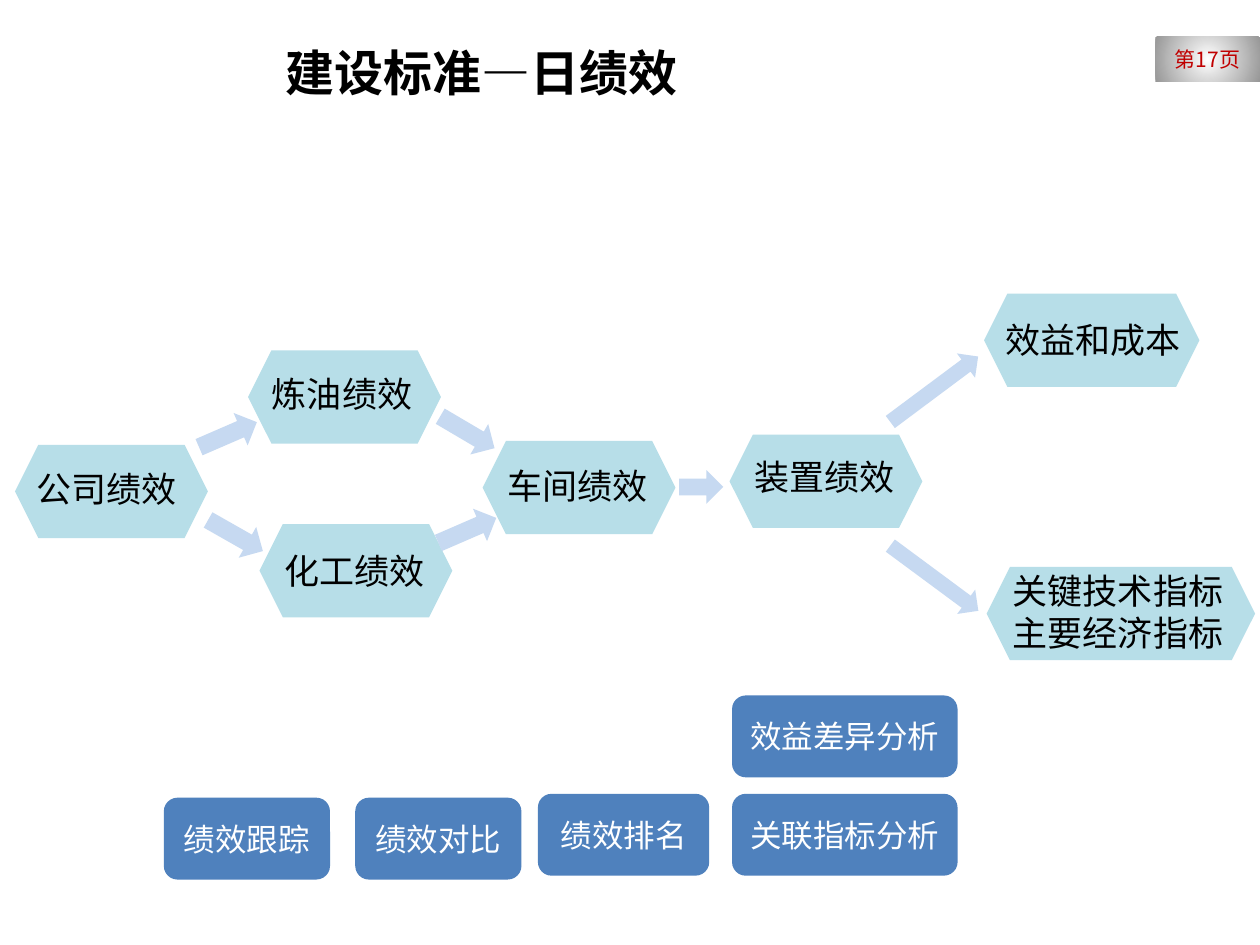
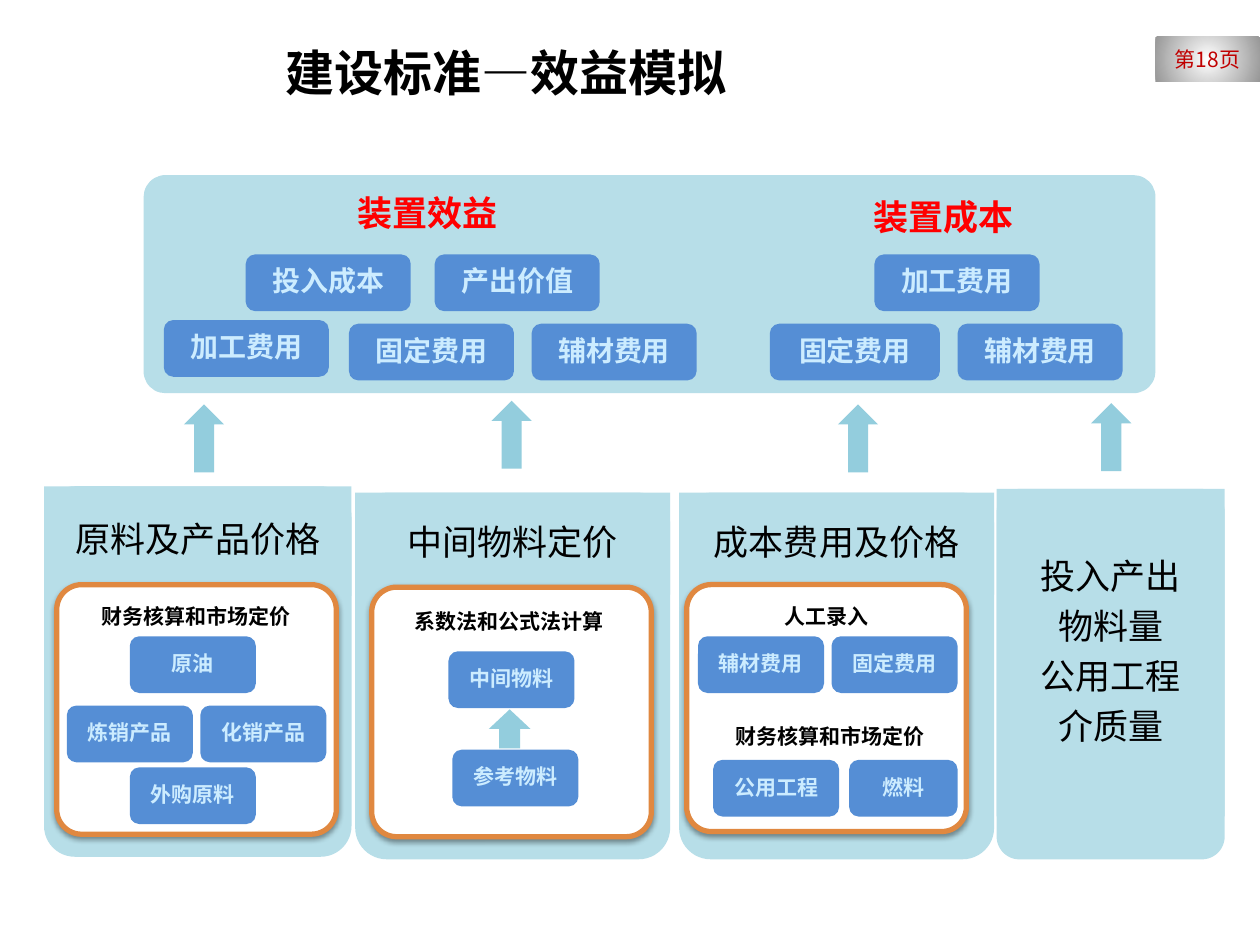
from dataclasses import dataclass

from lxml.etree import SubElement
from pptx import Presentation
from pptx.dml.color import RGBColor
from pptx.enum.shapes import MSO_SHAPE as Preset
from pptx.enum.text import MSO_ANCHOR as Anchor, MSO_AUTO_SIZE as AutoSize, PP_ALIGN as Align
from pptx.oxml.ns import qn
from pptx.util import Pt


@dataclass(frozen=True)
class Theme:
    black: str = "000000"
    white: str = "FFFFFF"
    badge_edge: str = "979797"
    badge_text: str = "C00000"
    pale_teal: str = "B7DEE8"
    teal: str = "93CDDD"
    pale_blue: str = "C6D9F1"
    blue: str = "4F81BD"
    chip_blue: str = "558ED5"
    chip_text: str = "CCECFF"
    orange: str = "E08840"
    red: str = "FF0000"
    body_font: str = "Calibri"
    heading_font: str = "Noto Sans CJK SC"
    title_size: int = 28
    node_size: int = 20
    button_size: int = 18
    chip_size: int = 16
    small_size: int = 12


THEME = Theme()


def write(frame, text, *, size, color, font=THEME.body_font, bold=False, align=Align.LEFT,
          anchor=Anchor.TOP, insets=(7.2, 3.6), wrap=True, grow=False, spaced=False):
    """Fill a text frame, one paragraph per line; spaced sets tight lines with a gap after."""
    frame.word_wrap = wrap
    frame.auto_size = AutoSize.SHAPE_TO_FIT_TEXT if grow else AutoSize.NONE
    frame.vertical_anchor = anchor
    frame.margin_left = frame.margin_right = Pt(insets[0])
    frame.margin_top = frame.margin_bottom = Pt(insets[1])
    for index, line in enumerate(text.split("\n")):
        paragraph = frame.add_paragraph() if index else frame.paragraphs[0]
        paragraph.alignment = align
        if spaced:
            paragraph.line_spacing = 0.9
            paragraph.space_after = Pt(0.35 * size)
        run = paragraph.add_run()
        run.text = line
        run.font.size = Pt(size)
        run.font.bold = bold
        run.font.name = font
        run.font.color.rgb = RGBColor.from_string(color)
        SubElement(run.font._element, qn("a:ea"), typeface=font)


class Deck:
    def __init__(self, theme):
        self.theme = theme
        self.prs = Presentation()
        self.prs.slide_width, self.prs.slide_height = Pt(720), Pt(540)
        self.slide = None

    def new_slide(self, title, page):
        self.slide = self.prs.slides.add_slide(self.prs.slide_layouts[6])
        self.page_badge(page)
        self.label(title, 156.2, 21.6, 499, 38.9, size=self.theme.title_size, bold=True,
                   font=self.theme.heading_font, anchor=Anchor.MIDDLE, wrap=True, grow=False)

    def shape(self, preset, x, y, w, h, fill, rotation=0, corner=None):
        shape = self.slide.shapes.add_shape(preset, Pt(x), Pt(y), Pt(w), Pt(h))
        shape.shadow.inherit = False
        shape.fill.solid()
        shape.fill.fore_color.rgb = RGBColor.from_string(fill)
        shape.line.fill.background()
        shape.rotation = rotation
        if corner is not None:
            shape.adjustments[0] = corner
        return shape

    def label(self, text, x, y, w, h, **style):
        box = self.slide.shapes.add_textbox(Pt(x), Pt(y), Pt(w), Pt(h))
        defaults = dict(size=self.theme.node_size, color=self.theme.black, wrap=False, grow=True)
        write(box.text_frame, text, **{**defaults, **style})

    def page_badge(self, page):
        badge = self.shape(Preset.RECTANGLE, 660.2, 20.9, 59.8, 25.9, self.theme.white)
        badge.fill.gradient()
        stops = badge.fill.gradient_stops
        for stop, position, color in zip(stops, (0, 1), (self.theme.white, self.theme.badge_edge)):
            stop.position = position
            stop.color.rgb = RGBColor.from_string(color)
        gradient = badge._element.spPr.find(qn("a:gradFill"))
        gradient.remove(gradient.find(qn("a:lin")))
        radial = SubElement(gradient, qn("a:path"), {"path": "circle"})
        SubElement(radial, qn("a:fillToRect"), {side: "50000" for side in "ltrb"})
        write(badge.text_frame, f"第{page}页", size=self.theme.small_size,
              color=self.theme.badge_text, font=self.theme.heading_font,
              align=Align.CENTER, insets=(7.2, 5.76), grow=True)

    def hexagon(self, x, y, w=110.2):
        self.shape(Preset.HEXAGON, x, y, w, 53.3, self.theme.pale_teal)

    def arrow(self, x, y, w, h, rotation, fill):
        self.shape(Preset.RIGHT_ARROW, x, y, w, h, fill, rotation)

    def button(self, text, x, y, w):
        button = self.shape(Preset.ROUNDED_RECTANGLE, x, y, w, 46.8, self.theme.blue)
        write(button.text_frame, text, size=self.theme.button_size, color=self.theme.white,
              align=Align.CENTER, anchor=Anchor.MIDDLE)

    def chip(self, text, x, y, w, size):
        chip = self.shape(Preset.ROUNDED_RECTANGLE, x, y, w, 32.4, self.theme.chip_blue)
        write(chip.text_frame, text, size=size, color=self.theme.chip_text, bold=True,
              font=self.theme.heading_font, align=Align.CENTER, anchor=Anchor.MIDDLE, spaced=True)

    def panel(self, heading, x, y, w, h, heading_h):
        """Panel with rounded lower corners: a square heading covers the upper ones."""
        self.shape(Preset.ROUNDED_RECTANGLE, x, y, w, h, self.theme.pale_teal, corner=0.1)
        top = self.shape(Preset.RECTANGLE, x, y, w, heading_h, self.theme.pale_teal)
        write(top.text_frame, heading, size=self.theme.node_size, color=self.theme.black,
              align=Align.CENTER, anchor=Anchor.MIDDLE, insets=(5.76, 5.76), spaced=True)

    def frame(self, x, y, h):
        """White orange-edged frame with a soft shadow below."""
        frame = self.shape(Preset.ROUNDED_RECTANGLE, x, y, 159.8, h, self.theme.white, corner=0.1)
        frame.line.color.rgb = RGBColor.from_string(self.theme.orange)
        frame.line.width = Pt(3)
        effects = frame._element.spPr.find(qn("a:effectLst"))
        shadow = SubElement(effects, qn("a:outerShdw"), blurRad=str(Pt(3.1)), dist=str(Pt(1.6)),
                            dir="5400000", rotWithShape="0")
        color = SubElement(shadow, qn("a:srgbClr"), val=self.theme.black)
        SubElement(color, qn("a:alpha"), val="38000")


def daily_performance(deck):
    deck.new_slide("建设标准—日绩效", 17)
    for x, y in ((148.3, 299.5), (8.6, 254.2)):
        deck.hexagon(x, y)

    short, long = (36, 20.2), (62.6, 17.3)
    for x, y, size, rotation in (
        (112.3, 238.3, short, 336.6), (116.6, 295.9, short, 29.6),
        (249.1, 236.9, short, 30.5), (249.1, 293, short, 336.6),
        (388.1, 268.6, (25.2, 19.4), 0),
        (502.6, 213.8, long, 323.3), (502.6, 321.8, long, 36.5),
    ):
        deck.arrow(x, y, *size, rotation, deck.theme.pale_blue)

    for hexagon in ((141.8, 200.2), (275.8, 252), (416.9, 248.4),
                    (563.8, 324, 153.4), (562.3, 167.8, 123.1)):
        deck.hexagon(*hexagon)

    for text, x, y in (("公司绩效", 13.7, 263.5), ("化工绩效", 155.5, 310.3),
                       ("炼油绩效", 148.3, 209.5), ("车间绩效", 283, 262.1),
                       ("装置绩效", 424.1, 257)):
        deck.label(text, x, y, 95, 31.7)
    deck.label("关键技术指标\n主要经济指标", 571.7, 321.8, 135.4, 55.4)
    deck.label("效益和成本", 567.4, 178.6, 115.2, 31.7)

    for button in (("绩效跟踪", 93.6, 455.8, 95), ("绩效对比", 203, 455.8, 95),
                   ("绩效排名", 307.4, 453.6, 97.9), ("关联指标分析", 418.3, 453.6, 128.9),
                   ("效益差异分析", 418.3, 397.4, 128.9)):
        deck.button(*button)


def benefit_simulation(deck):
    theme = deck.theme
    deck.new_slide("建设标准—效益模拟", 18)

    deck.shape(Preset.ROUNDED_RECTANGLE, 82.1, 100.1, 578.2, 124.6, theme.pale_teal, corner=0.1)
    for text, x, y in (("装置效益", 197.3, 105.8), ("装置成本", 491.8, 108)):
        deck.label(text, x, y, 95, 31.7, color=theme.red, bold=True)
    upper, lower = 145.4, 185
    for text, x, y, w in (
        ("投入成本", 140.4, upper, 94.3), ("产出价值", 248.4, upper, 94.3),
        ("加工费用", 93.6, 182.9, 94.3), ("固定费用", 199.4, lower, 94.3),
        ("辅材费用", 303.8, lower, 94.3), ("加工费用", 499.7, upper, 94.3),
        ("固定费用", 439.9, lower, 97.2), ("辅材费用", 547.2, lower, 94.3),
    ):
        deck.chip(text, x, y, w, theme.chip_size)

    for panel in (
        ("原料及产品价格", 25.2, 277.9, 175.7, 211.7, 62.6),
        ("中间物料定价", 203, 281.5, 180, 209.5, 58.3),
        ("成本费用及价格", 388.1, 281.5, 180, 209.5, 58.3),
        ("投入产出\n物料量\n公用工程\n介质量", 569.5, 279.4, 130.3, 211.7, 187.2),
    ):
        deck.panel(*panel)
    for frame in ((32.4, 334.1, 142.6), (212.4, 335.5, 142.6), (392.4, 334.1, 141.1)):
        deck.frame(*frame)

    for text, x, y, w in (
        ("财务核算和市场定价", 51.1, 341.3, 123.8), ("系数法和公式法计算", 229.7, 344.2, 123.8),
        ("人工录入", 441.4, 341.3, 63.4), ("财务核算和市场定价", 413.3, 409.7, 123.8),
    ):
        deck.label(text, x, y, w, 21.6, size=theme.small_size, bold=True)
    for text, x, y, w in (
        ("原油", 74.2, 363.6, 72), ("炼销产品", 38.2, 403.2, 72),
        ("化销产品", 114.5, 403.2, 72), ("外购原料", 74.2, 438.5, 72),
        ("中间物料", 256.3, 372.2, 72), ("参考物料", 258.5, 428.4, 72),
        ("辅材费用", 398.9, 363.6, 72), ("固定费用", 475.2, 363.6, 72),
        ("公用工程", 407.5, 434.2, 72), ("燃料", 485.3, 434.2, 61.9),
    ):
        deck.chip(text, x, y, w, theme.small_size)

    for x, y in ((97.2, 239), (272.9, 236.9), (470.9, 239), (615.6, 238.3)):
        deck.arrow(x, y, 38.9, 23, 270, theme.teal)
    deck.arrow(280.1, 404.6, 22.3, 23.8, 270, theme.teal)


def main():
    deck = Deck(THEME)
    daily_performance(deck)
    benefit_simulation(deck)
    deck.prs.save("out.pptx")


if __name__ == "__main__":
    main()
